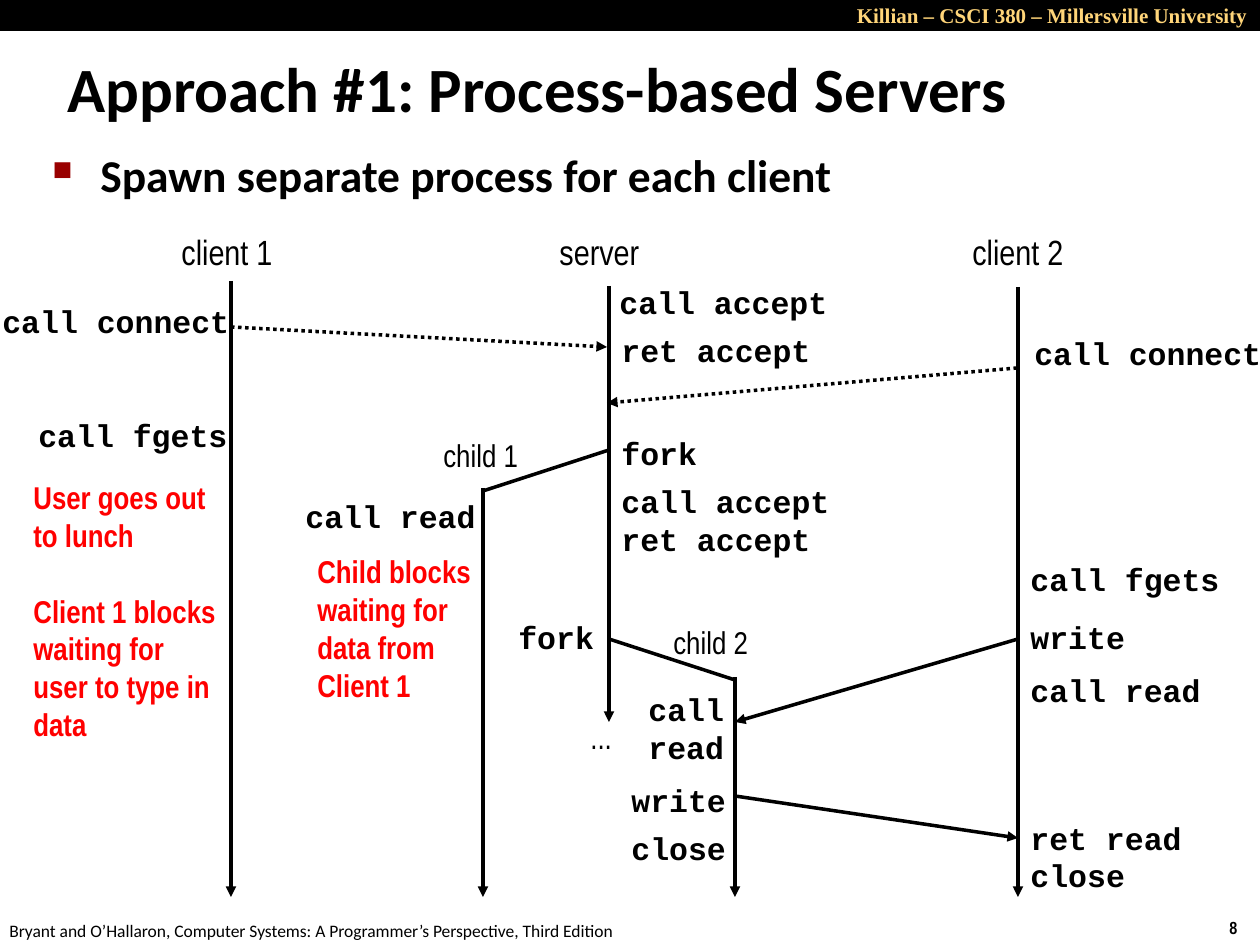
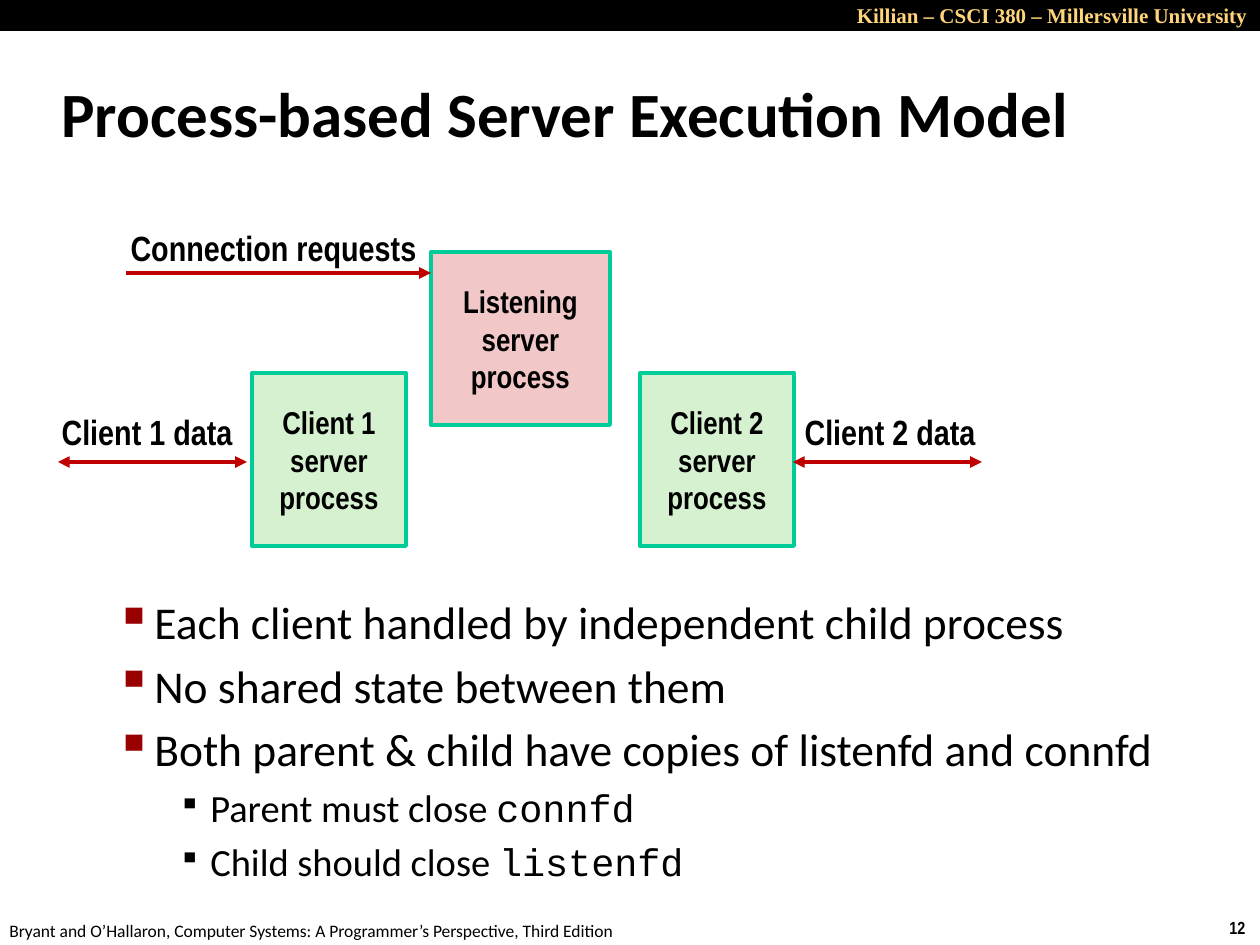
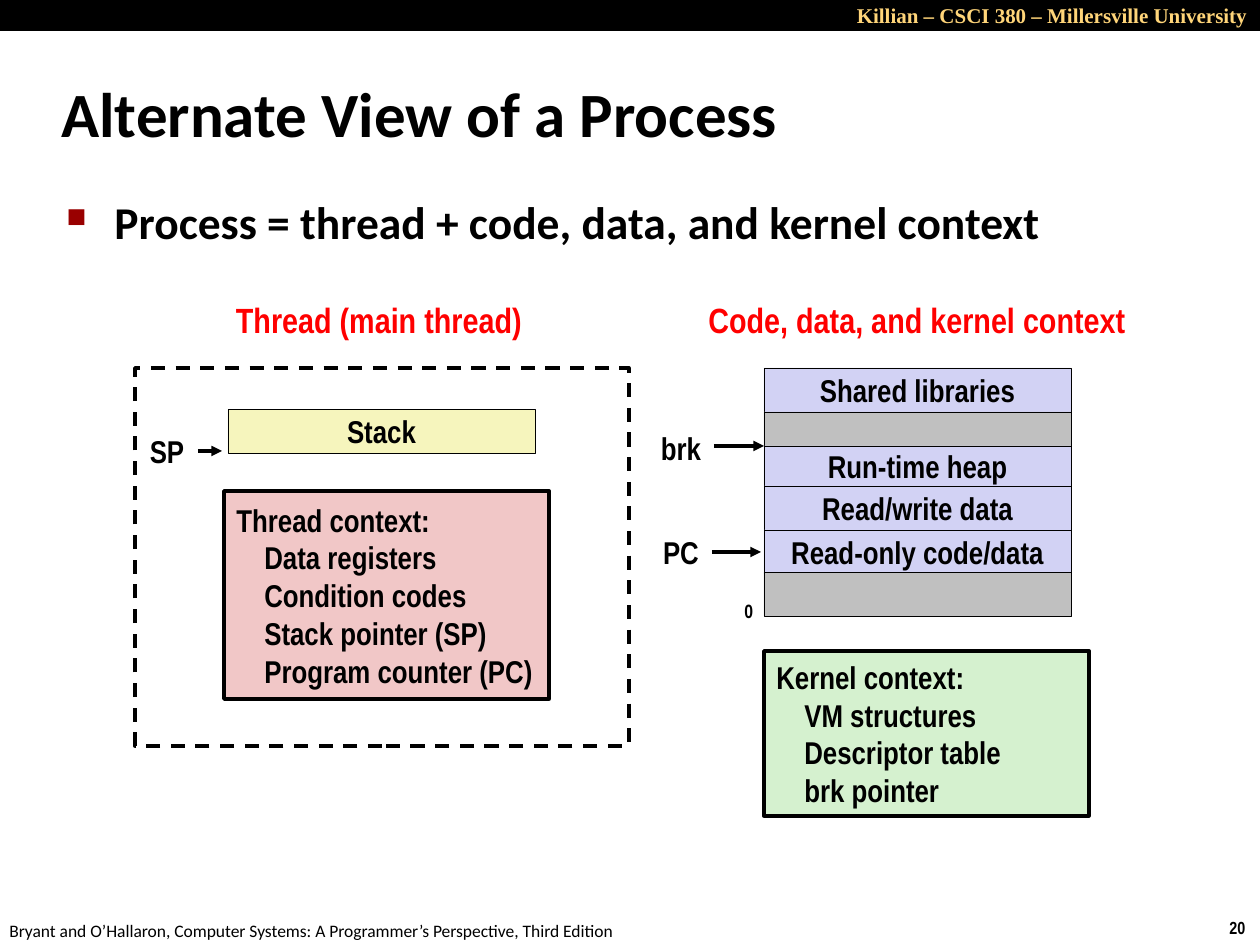
from lxml import etree
from pptx import Presentation
from pptx.dml.color import RGBColor
from pptx.enum.dml import MSO_LINE
from pptx.enum.shapes import MSO_CONNECTOR, MSO_SHAPE
from pptx.enum.text import MSO_ANCHOR, PP_ALIGN
from pptx.oxml.ns import qn
from pptx.util import Pt

PX = 914400 / 126
RECT, STRAIGHT = MSO_SHAPE.RECTANGLE, MSO_CONNECTOR.STRAIGHT
LEFT, CENTER, RIGHT = PP_ALIGN.LEFT, PP_ALIGN.CENTER, PP_ALIGN.RIGHT
TOP, MIDDLE = MSO_ANCHOR.TOP, MSO_ANCHOR.MIDDLE
DOT, DASH = MSO_LINE.ROUND_DOT, MSO_LINE.DASH
SANS, NARROW, MONO, SERIF = "Calibri", "Arial Narrow", "Courier New", "Times New Roman"
COLORS = {
    "black": "000000", "gold": "FFD579", "red": "FF0000", "bullet": "990000",
    "arrow": "C00000", "teal": "00CC99", "green": "D5F1CF", "pink": "F1C7C7",
    "lilac": "D2D2F4", "gray": "C0C0C0", "yellow": "F6F5BD",
}
RGB = {name: RGBColor.from_string(value) for name, value in COLORS.items()}


def box(s, x, y, w, h, text="", font=NARROW, size=18, bold=True, color="black",
        align=LEFT, anchor=TOP, wrap=False, fill=None, line=None, width=2):
    """Add a text box, or a rectangle if it has a fill or a line."""
    frame = [round(v * PX) for v in (x, y, w, h)]
    if fill or line:
        sp = s.shapes.add_shape(RECT, *frame)
        sp.shadow.inherit = False
        if fill:
            sp.fill.solid()
            sp.fill.fore_color.rgb = RGB[fill]
        else:
            sp.fill.background()
        if line:
            sp.line.color.rgb = RGB[line]
            sp.line.width = Pt(width)
        else:
            sp.line.fill.background()
    else:
        sp = s.shapes.add_textbox(*frame)
    tf = sp.text_frame
    tf.word_wrap = wrap
    tf.vertical_anchor = anchor
    tf.text = text
    for p in tf.paragraphs:
        p.alignment = align
        for r in p.runs:
            r.font.name, r.font.size, r.font.bold = font, Pt(size), bold
            r.font.color.rgb = RGB[color]
    return sp


def connect(s, x1, y1, x2, y2, color="black", width=2, dash=None, ends=("tailEnd",)):
    ln = s.shapes.add_connector(STRAIGHT, *[round(v * PX) for v in (x1, y1, x2, y2)])
    ln.line.color.rgb = RGB[color]
    ln.line.width = Pt(width)
    if dash:
        ln.line.dash_style = dash
    for end in ends:
        etree.SubElement(ln.line._get_or_add_ln(), qn("a:" + end), type="triangle")
    etree.SubElement(ln._element.spPr, qn("a:effectLst"))


prs = Presentation()
prs.slide_width, prs.slide_height = round(1260 * PX), round(945 * PX)

# Shared frame: band, footer, number, title and bullets
# bullet style: character, size %, color, left margin, hanging indent, text size, bold
MAIN = ("■", 60, "bullet", 48, 48, 26, True)
ITEM = ("▪", 110, "bullet", 102, 39, 26, False)
SUBITEM = ("▪", 80, "black", 158, 32, 22, False)
PAGES = [
    ("8", "Approach #1: Process-based Servers", (55, 34, 1202, 107), (40, 141, 1220, 746),
     [(MAIN, "Spawn separate process for each client", "")]),
    ("12", "Process-based Server Execution Model", (49, 60, 1046, 105), (40, 588, 1145, 280),
     [(ITEM, "Each client handled by independent child process", ""),
      (ITEM, "No shared state between them", ""),
      (ITEM, "Both parent & child have copies of listenfd and connfd", ""),
      (SUBITEM, "Parent must close ", "connfd"),
      (SUBITEM, "Child should close ", "listenfd")]),
    ("20", "Alternate View of a Process", (49, 60, 1046, 105), (54, 188, 1089, 685),
     [(MAIN, "Process = thread + code, data, and kernel context", "")]),
]
for number, title, title_frame, body_frame, bullets in PAGES:
    s = prs.slides.add_slide(prs.slide_layouts[6])
    box(s, 0, 0, 1260, 31, fill="black")
    box(s, 567, -4, 693, 38, "Killian – CSCI 380 – Millersville University",
        SERIF, 12, color="gold", align=RIGHT, wrap=True)
    box(s, 1217, 911, 43, 34, number, size=10)
    box(s, -3, 914, 640, 34,
        "Bryant and O’Hallaron, Computer Systems: A Programmer’s Perspective, Third Edition",
        SANS, 10, bold=False)
    box(s, *title_frame, title, SANS, 36, anchor=MIDDLE, wrap=True)
    tf = box(s, *body_frame, wrap=True).text_frame
    for i, (style, text, code) in enumerate(bullets):
        char, percent, color, margin, hang, size, bold = style
        p = tf.add_paragraph() if i else tf.paragraphs[0]
        pPr = p._p.get_or_add_pPr()
        pPr.set("marL", str(round(margin * PX)))
        pPr.set("indent", str(round(-hang * PX)))
        buClr = etree.SubElement(pPr, qn("a:buClr"))
        etree.SubElement(buClr, qn("a:srgbClr"), val=COLORS[color])
        etree.SubElement(pPr, qn("a:buSzPct"), val=str(percent * 1000))
        etree.SubElement(pPr, qn("a:buChar"), char=char)
        if i:
            p.space_before = Pt(size * 0.2)
        for part, font in ((text, SANS), (code, MONO)):
            if part:
                r = p.add_run()
                r.text = part
                r.font.name, r.font.size, r.font.bold = font, Pt(size), bold
                r.font.color.rgb = RGB["black"]
process_slide, model_slide, view_slide = prs.slides

# Process-based servers: timelines of clients, server and children
s = process_slide
CLIENT1, CHILD1, SERVER, CHILD2, CLIENT2 = 231, 483, 609, 735, 1018
for x, top, bottom in [(CLIENT1, 281, 897), (SERVER, 286, 722), (CLIENT2, 287, 897),
                       (CHILD1, 488, 897), (CHILD2, 677, 897)]:
    connect(s, x, top, x, bottom)
for x1, y1, x2, y2 in [(CLIENT1, 327, SERVER - 2, 347), (CLIENT2 - 1, 368, SERVER - 2, 403)]:
    connect(s, x1, y1, x2, y2, dash=DOT)
for x, y, child in [(SERVER, 450, CHILD1), (SERVER, 639, CHILD2)]:
    connect(s, x, y, child, y + 41, ends=())
connect(s, CLIENT2, 639, CHILD2, 722)
connect(s, CHILD2, 796, CLIENT2, 838)

for x, y, w, h, size, text in [
        (169, 224, 117, 55, 20, "client 1"), (547, 224, 106, 55, 20, "server"),
        (960, 224, 117, 55, 20, "client 2"), (431, 430, 116, 50, 18, "child 1"),
        (661, 617, 116, 50, 18, "child 2"), (578, 712, 52, 50, 18, "...")]:
    box(s, x, y, w, h, text, size=size, bold=False)

for x, y, text in [
        (-10, 296, "call connect"), (26, 410, "call fgets"),
        (607, 277, "call accept"), (609, 325, "ret accept"), (609, 428, "fork"),
        (609, 476, "call accept"), (609, 514, "ret accept"), (506, 612, "fork"),
        (293, 491, "call read"), (636, 684, "call\nread"),
        (619, 775, "write"), (619, 823, "close"),
        (1022, 328, "call connect"), (1018, 554, "call fgets"), (1018, 612, "write"),
        (1018, 665, "call read"), (1018, 813, "ret read"), (1018, 850, "close")]:
    lines = text.split("\n")
    box(s, x, y, 26 + 19 * max(map(len, lines)), 12 + 38 * len(lines), text, MONO)

lunch = box(s, 21, 472, 210, 280,
            "User goes out to lunch\nClient 1 blocks\nwaiting for user to type in data",
            color="red", wrap=True)
lunch.text_frame.paragraphs[1].space_before = Pt(21.6)
box(s, 305, 546, 210, 165, "Child blocks waiting for data from Client 1",
    color="red", wrap=True)

# Execution model: listening process and one process per client
s = model_slide
for x, y, w, name, fill in [(252, 373, 154, "Client 1", "green"),
                            (640, 373, 154, "Client 2", "green"),
                            (431, 252, 179, "Listening", "pink")]:
    box(s, x, y, w, 173, name + "\nserver\nprocess", align=CENTER, anchor=MIDDLE,
        fill=fill, line="teal", width=2.25)
for x, y, w, text in [(115, 220, 314, "Connection requests"),
                      (47, 404, 198, "Client 1 data"), (790, 404, 198, "Client 2 data")]:
    box(s, x, y, w, 55, text, size=20, align=RIGHT)
connect(s, 126, 273, 431, 273, "arrow", 2.25)
for x in (58, 793):
    connect(s, x, 462, x + 189, 462, "arrow", 2.25, ends=("headEnd", "tailEnd"))

# Alternate view: thread on the left, memory and kernel context on the right
s = view_slide
for x, w, text in [(222, 314, "Thread (main thread)"), (690, 454, "Code, data, and kernel context")]:
    box(s, x, 292, w, 55, text, size=20, color="red", align=CENTER, anchor=MIDDLE)
sp = box(s, 135, 368, 494, 378, line="black")
sp.line.dash_style = DASH
for x, y, h, text, fill in [
        (228, 409, 44, "Stack", "yellow"),
        (764, 368, 44, "Shared libraries", "lilac"), (764, 412, 35, "", "gray"),
        (764, 446, 40, "Run-time heap", "lilac"), (764, 486, 44, "Read/write data", "lilac"),
        (764, 530, 44, "Read-only code/data", "lilac"), (764, 572, 44, "", "gray")]:
    box(s, x, y, 307, h, text, align=CENTER, anchor=MIDDLE, fill=fill, line="black", width=0.25)

for x, y, h, fill, text in [
        (224, 491, 208, "pink", "Thread context:\nData registers\nCondition codes\n"
                                "Stack pointer (SP)\nProgram counter (PC)"),
        (764, 651, 165, "green", "Kernel context:\nVM structures\nDescriptor table\nbrk pointer")]:
    sp = box(s, x, y, 325, h, text, anchor=MIDDLE, fill=fill, line="black")
    for p in sp.text_frame.paragraphs[1:]:
        p._p.get_or_add_pPr().set("marL", str(round(28 * PX)))

for x, y, w, text, start, end, arrow_y in [
        (137, 426, 60, "SP", 198, 222, 451), (648, 423, 66, "brk", 714, 764, 446),
        (650, 527, 62, "PC", 712, 761, 552)]:
    box(s, x, y, w, 50, text, align=CENTER, anchor=MIDDLE)
    connect(s, start, arrow_y, end, arrow_y)
box(s, 732, 593, 34, 37, "0", size=11)

prs.save("out.pptx")
